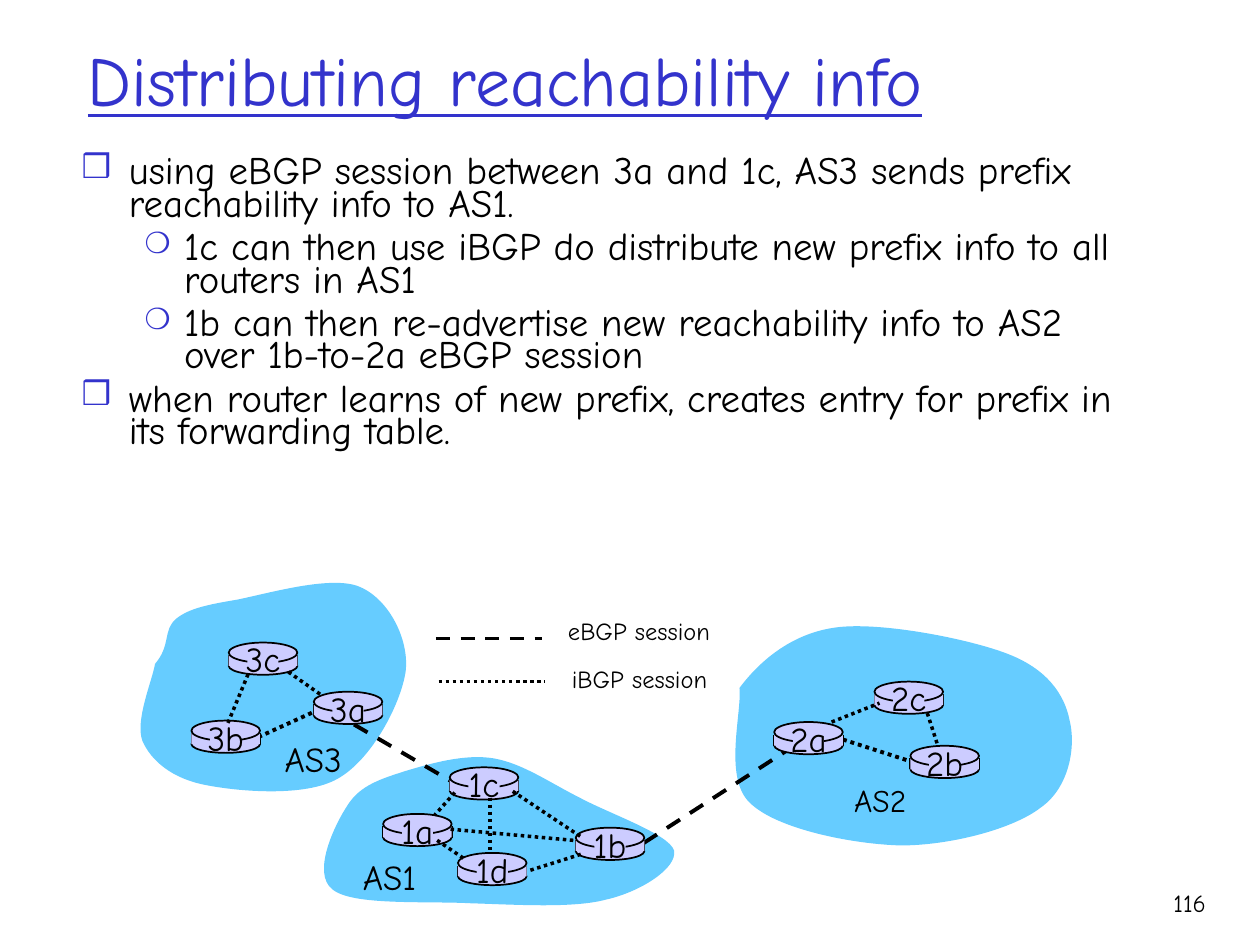
import dataclasses

import pptx
import pptx.dml.color
import pptx.enum.dml
import pptx.enum.shapes
import pptx.enum.text
import pptx.oxml
import pptx.oxml.ns
import pptx.util

Pt = pptx.util.Pt
Align = pptx.enum.text.PP_ALIGN
Anchor = pptx.enum.text.MSO_ANCHOR
AutoSize = pptx.enum.text.MSO_AUTO_SIZE
Shape = pptx.enum.shapes.MSO_SHAPE
Dash = pptx.enum.dml.MSO_LINE


@dataclasses.dataclass(frozen=True)
class Theme:
    font: str = "Comic Neue"
    accent: str = "3333CC"
    ink: str = "000000"
    cloud: str = "66CCFF"
    router: str = "CCCCFF"
    title_size: float = 40
    body_size: float = 22.2
    label_size: float = 20
    small_label_size: float = 18
    note_size: float = 14


THEME = Theme()
EBGP, IBGP = Dash.DASH, Dash.ROUND_DOT

BULLETS = [
    (0, "using eBGP session between 3a and 1c, AS3 sends prefix reachability info to AS1."),
    (1, "1c can then use iBGP do distribute new prefix info to all routers in AS1"),
    (1, "1b can then re-advertise new reachability info to AS2 over 1b-to-2a eBGP session"),
    (0, "when router learns of new prefix, creates entry for prefix in its forwarding table."),
]
# Per level: bullet character, its size in percent, left margin, first-line indent
BULLET_STYLES = [("❒", 85, 27, -27), ("❍", 75, 58.5, -22.5)]

# Start point, then three points for each Bézier curve; the last curve returns to the start
CLOUDS = {
    "AS2": [(422.6, 393.1),
            (433.4, 378.7), (451.4, 362.2), (477.4, 358.6),
            (502.6, 355), (553.7, 365), (576, 373.7),
            (598.3, 382.3), (608.4, 396.7), (611.3, 411.8),
            (614.9, 426.2), (611.3, 450), (594.7, 461.5),
            (578.9, 473.8), (542.9, 483.1), (514.8, 483.1),
            (487.4, 482.4), (443.5, 473.8), (428.4, 458.6),
            (413.3, 444.2), (424.1, 406.8)],
    "AS3": [(88.6, 379.4),
            (97.9, 368.6), (92.9, 360), (100.8, 353.5),
            (108, 347.8), (118.1, 345.6), (135.4, 342.7),
            (153.4, 339.1), (190.1, 328.3), (205.9, 335.5),
            (222.5, 342.7), (234, 365.8), (231.8, 383.8),
            (229, 402.5), (212.4, 434.2), (193, 445),
            (174.2, 455.8), (135.4, 452.2), (117.4, 448.6),
            (98.6, 445), (86.4, 434.9), (81.4, 423.4),
            (77, 411.8), (87.1, 388.8)],
    "AS1": [(198.7, 460.1),
            (205.9, 448.6), (218.2, 445), (231.8, 440.6),
            (246.2, 436.3), (265.7, 430.6), (282.2, 433.4),
            (298.8, 436.3), (313.9, 447.1), (331.2, 455.8),
            (348.5, 465.1), (382.3, 476.6), (385.2, 486),
            (387.4, 496.1), (365.8, 509.8), (346.3, 514.1),
            (327.6, 519.1), (295.2, 517), (269.3, 516.2),
            (243.4, 514.8), (201.6, 517.7), (190.1, 508.3),
            (177.8, 499), (191.5, 470.9)],
}
ROUTERS = {
    "3b": (109.4, 411.8), "1d": (261.7, 487.4), "3a": (179.3, 395.3), "1c": (257, 438.5),
    "2a": (442.4, 412.6), "1a": (218.9, 465.1), "2c": (499.7, 389.5), "2b": (520.2, 426.2),
    "1b": (329, 473), "3c": (130.7, 367.2),
}
SESSIONS_BEHIND = [
    (481.7, 422.6, 519.8, 434.9, IBGP), (147.6, 421.2, 179.3, 406.8, IBGP),
    (202.3, 414, 257.8, 446.4, EBGP), (367.9, 481.7, 449.3, 429.1, EBGP),
]
SESSIONS_IN_FRONT = [
    (259.9, 452.9, 248.4, 465.8, IBGP), (280.1, 455.8, 280.1, 486.7, IBGP),
    (293, 452.2, 331.9, 478.1, IBGP), (331.9, 488.2, 302.4, 497.5, IBGP),
    (327.6, 480.2, 257, 473.8, IBGP), (475.2, 412.6, 502.6, 401.8, IBGP),
    (182.9, 396.7, 163.4, 383, IBGP), (141.8, 385.2, 129.6, 414.7, IBGP),
    (529.9, 407.5, 535.7, 425.5, IBGP), (249.8, 480.2, 265.7, 491, IBGP),
]
LEGEND = [(249.1, 365, 309.6, 365, EBGP), (250.6, 389.5, 311, 389.5, IBGP)]


def rgb(value):
    return pptx.dml.color.RGBColor.from_string(value)


def drawing_element(tag, **attributes):
    element = pptx.oxml.parse_xml(f"<a:{tag} {pptx.oxml.ns.nsdecls('a')}/>")
    for name, value in attributes.items():
        element.set(name, str(value))
    return element


def write_text(paragraph, text, size=THEME.label_size, color=THEME.ink,
               align=Align.LEFT, underline=None):
    run = paragraph.add_run()
    run.text = text
    run.font.name = THEME.font
    run.font.size = Pt(size)
    run.font.color.rgb = rgb(color)
    run.font.underline = underline
    paragraph.alignment = align


def add_text_frame(shapes, left, top, width, height, wrap=True, anchor=Anchor.TOP):
    frame = shapes.add_textbox(Pt(left), Pt(top), Pt(width), Pt(height)).text_frame
    frame.word_wrap = wrap
    frame.vertical_anchor = anchor
    return frame


def add_label(shapes, text, left, top, width, height, **text_format):
    """Add one unwrapped line in a box that fits its text."""
    frame = add_text_frame(shapes, left, top, width, height, wrap=False)
    frame.auto_size = AutoSize.SHAPE_TO_FIT_TEXT
    write_text(frame.paragraphs[0], text, **text_format)


def add_bullets(shapes):
    frame = add_text_frame(shapes, 39.6, 87.1, 612, 186.5)
    for index, (level, text) in enumerate(BULLETS):
        paragraph = frame.add_paragraph() if index else frame.paragraphs[0]
        character, percent, margin, indent = BULLET_STYLES[level]
        properties = paragraph._p.get_or_add_pPr()
        properties.set("marL", str(Pt(margin)))
        properties.set("indent", str(Pt(indent)))
        color = drawing_element("buClr")
        color.append(drawing_element("srgbClr", val=THEME.accent))
        properties.append(color)
        properties.append(drawing_element("buSzPct", val=percent * 1000))
        properties.append(drawing_element("buFont", typeface=THEME.font))
        properties.append(drawing_element("buChar", char=character))
        paragraph.level = level
        paragraph.line_spacing = 0.7
        if index:
            paragraph.space_before = Pt(6)
        write_text(paragraph, text, size=THEME.body_size)


def paint(shape, fill, line=None):
    shape.shadow.inherit = False
    shape.fill.solid()
    shape.fill.fore_color.rgb = rgb(fill)
    if line:
        shape.line.color.rgb = rgb(line)
        shape.line.width = Pt(1)
    else:
        shape.line.fill.background()


def add_line(shapes, x1, y1, x2, y2, dash=None, width=2.0):
    line = shapes.add_connector(pptx.enum.shapes.MSO_CONNECTOR.STRAIGHT,
                                Pt(x1), Pt(y1), Pt(x2), Pt(y2))
    line.line.color.rgb = rgb(THEME.ink)
    line.line.width = Pt(width)
    if dash:
        line.line.dash_style = dash
    line._element.spPr.append(drawing_element("effectLst"))


def add_cloud(shapes, points):
    """Build a closed outline and turn each three line points into one curve."""
    start, *rest = [(Pt(x), Pt(y)) for x, y in points]
    builder = shapes.build_freeform(*start)
    builder.add_line_segments(rest + [start], close=True)
    cloud = builder.convert_to_shape()
    segments = list(cloud._element.iter(pptx.oxml.ns.qn("a:lnTo")))
    for first in range(0, len(segments), 3):
        curve = drawing_element("cubicBezTo")
        segments[first].addprevious(curve)
        for segment in segments[first:first + 3]:
            curve.append(segment[0])
            segment.getparent().remove(segment)
    paint(cloud, THEME.cloud)


def add_router(slide, name, left, top):
    shapes = slide.shapes.add_group_shape().shapes
    width = 39.2

    def add_part(kind, x, y, part_width, height, line=None):
        part = shapes.add_shape(kind, Pt(left + x), Pt(top + y), Pt(part_width), Pt(height))
        paint(part, THEME.router, line)

    add_part(Shape.OVAL, 0, 8.4, width, 10, THEME.ink)
    for side in (left, left + width):
        add_line(shapes, side, top + 7.2, side, top + 13.5, width=1)
    add_part(Shape.RECTANGLE, 0, 7.2, width, 6.3)
    add_part(Shape.OVAL, 0, 0, width, 11.5, THEME.ink)
    add_part(Shape.RECTANGLE, 10.7, 1.4, 17.8, 15)
    add_label(shapes, name, left, top - 6.2, width, 31.5, align=Align.CENTER)


def main():
    presentation = pptx.Presentation()
    presentation.slide_width, presentation.slide_height = Pt(720), Pt(540)
    slide = presentation.slides.add_slide(presentation.slide_layouts[6])
    shapes = slide.shapes

    title = add_text_frame(shapes, 43.2, 0, 612, 90, anchor=Anchor.MIDDLE)
    write_text(title.paragraphs[0], "Distributing reachability info",
               size=THEME.title_size, color=THEME.accent, underline=True)
    add_bullets(shapes)

    for points in CLOUDS.values():
        add_cloud(shapes, points)
    for session in SESSIONS_BEHIND:
        add_line(shapes, *session, width=2.25)
    for name, position in ROUTERS.items():
        add_router(slide, name, *position)
    for session in SESSIONS_IN_FRONT + LEGEND:
        add_line(shapes, *session)

    add_label(shapes, "AS3", 155.5, 417.6, 48, 31.5)
    add_label(shapes, "AS1", 200.2, 485.3, 46, 31.5)
    add_label(shapes, "AS2", 481, 442.8, 45, 28.8, size=THEME.small_label_size)
    add_label(shapes, "eBGP session", 317.5, 348.5, 97, 24.5, size=THEME.note_size)
    add_label(shapes, "iBGP session", 319.7, 375.8, 93, 24.5, size=THEME.note_size)
    number = add_text_frame(shapes, 643, 504, 53.3, 36)
    write_text(number.paragraphs[0], "116", size=THEME.note_size, align=Align.RIGHT)
    presentation.save("out.pptx")


if __name__ == "__main__":
    main()
